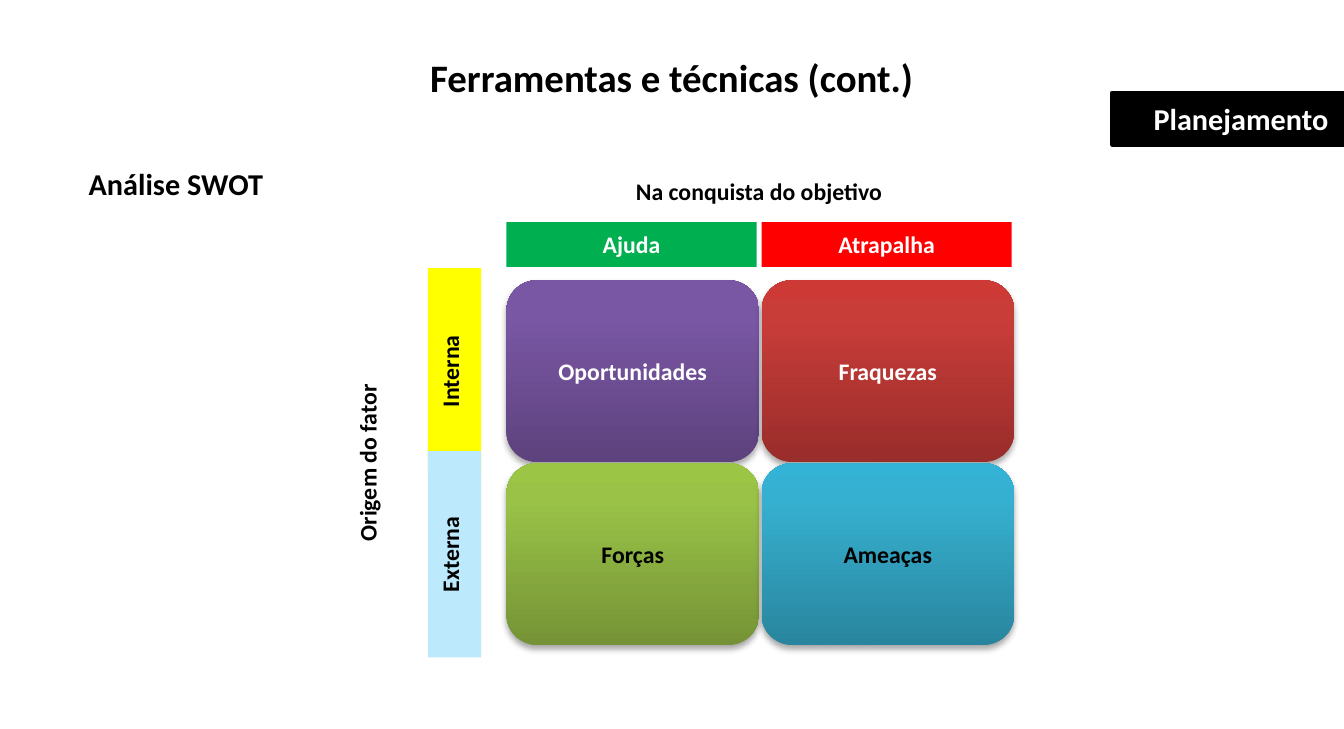
from lxml import etree
from pptx import Presentation
from pptx.dml.color import RGBColor
from pptx.enum.shapes import MSO_SHAPE
from pptx.enum.text import MSO_ANCHOR, PP_ALIGN
from pptx.oxml import parse_xml
from pptx.oxml.ns import nsdecls
from pptx.util import Cm, Pt

COLOURS = {
    "black": "000000", "white": "FFFFFF", "green": "00B050",
    "red": "FF0000", "yellow": "FFFF00", "pale blue": "BCE9FB",
}
GRADIENTS = {
    "purple": ("5D427D", "7A57A5", "7A56A7"),
    "crimson": ("992D2B", "C93D39", "CD3A36"),
    "olive": ("759336", "99C247", "9BC545"),
    "teal": ("29859E", "36B0D0", "33B3D5"),
}
STOPS = (0, 80, 100)

TITLE = "Ferramentas e técnicas (cont.)"
PHASE = "Planejamento"
TOPIC = "Análise SWOT"
COLUMN_TITLE = "Na conquista do objetivo"
ROW_TITLE = "Origem do fator"
COLUMNS = [("Ajuda", "green"), ("Atrapalha", "red")]
ROWS = [("Interna", "yellow"), ("Externa", "pale blue")]
QUADRANTS = [
    [("Oportunidades", "purple", "white"), ("Fraquezas", "crimson", "white")],
    [("Forças", "olive", "black"), ("Ameaças", "teal", "black")],
]

# Lengths in centimetres
PAGE_WIDTH, PAGE_HEIGHT = 21.97, 11.91
GRID_LEFT, GRID_TOP = 8.28, 4.58
TILE_WIDTH, TILE_HEIGHT = 4.13, 2.97
COLUMN_STEP, ROW_STEP = 4.17, 2.99
HEADER_TOP, HEADER_WIDTH, HEADER_HEIGHT = 3.63, 4.09, 0.73
SIDE_LENGTH, SIDE_THICKNESS = 3.37, 0.87
SIDE_CENTRE, ROW_TITLE_CENTRE = 7.43, 6.08


def write(box, text, size, colour, align=PP_ALIGN.CENTER, anchor=MSO_ANCHOR.TOP, wrap=True):
    frame = box.text_frame
    frame.word_wrap = wrap
    frame.vertical_anchor = anchor
    para = frame.paragraphs[0]
    para.alignment = align
    span = para.add_run()
    span.text = text
    span.font.name = "Calibri"
    span.font.size = Pt(size)
    span.font.bold = True
    span.font.color.rgb = RGBColor.from_string(COLOURS[colour])


def add_label(page, area, text, size=11, **style):
    box = page.shapes.add_textbox(*map(Cm, area))
    write(box, text, size, "black", **style)
    return box


def add_bar(page, area, text, fill, colour, size=11, **style):
    bar = page.shapes.add_shape(MSO_SHAPE.RECTANGLE, *map(Cm, area))
    bar.shadow.inherit = False
    bar.fill.solid()
    bar.fill.fore_color.rgb = RGBColor.from_string(COLOURS[fill])
    bar.line.fill.background()
    write(bar, text, size, colour, **style)
    return bar


def upright(centre_x, centre_y, length):
    """Area of a side label before it is turned by 270 degrees."""
    return centre_x - length / 2, centre_y - SIDE_THICKNESS / 2, length, SIDE_THICKNESS


def add_tile(page, area, text, gradient, colour):
    tile = page.shapes.add_shape(MSO_SHAPE.ROUNDED_RECTANGLE, *map(Cm, area))
    tile.line.fill.background()
    tile.fill.gradient()
    tile.fill.gradient_angle = 90
    properties = tile.element.spPr
    stop_list = properties.find(".//{*}gsLst")
    for stop in list(stop_list):
        stop_list.remove(stop)
    for position, shade in zip(STOPS, GRADIENTS[gradient]):
        stop_list.append(parse_xml(
            f'<a:gs {nsdecls("a")} pos="{position * 1000}"><a:srgbClr val="{shade}"/></a:gs>'))
    tile.shadow.inherit = False
    shadow = parse_xml(
        f'<a:outerShdw {nsdecls("a")} blurRad="{Pt(3.1)}" dist="{Pt(1.8)}" dir="5400000" '
        f'rotWithShape="0"><a:srgbClr val="{COLOURS["black"]}"><a:alpha val="35000"/>'
        '</a:srgbClr></a:outerShdw>')
    properties.find("{*}effectLst").append(shadow)
    write(tile, text, 11, colour, anchor=MSO_ANCHOR.MIDDLE)


def add_matrix(page):
    for row, tiles in enumerate(QUADRANTS):
        for column, (text, gradient, colour) in enumerate(tiles):
            area = (GRID_LEFT + column * COLUMN_STEP, GRID_TOP + row * ROW_STEP,
                    TILE_WIDTH, TILE_HEIGHT)
            add_tile(page, area, text, gradient, colour)
    for column, (text, fill) in enumerate(COLUMNS):
        left = GRID_LEFT + column * COLUMN_STEP
        add_bar(page, (left, HEADER_TOP, HEADER_WIDTH, HEADER_HEIGHT), text, fill, "white")
    for row, (text, fill) in enumerate(ROWS):
        middle = GRID_TOP + row * ROW_STEP + TILE_HEIGHT / 2
        bar = add_bar(page, upright(SIDE_CENTRE, middle, SIDE_LENGTH), text, fill, "black")
        bar.rotation = 270
    add_label(page, (GRID_LEFT, 2.77, COLUMN_STEP + HEADER_WIDTH, HEADER_HEIGHT), COLUMN_TITLE)
    middle = GRID_TOP + (ROW_STEP + TILE_HEIGHT) / 2
    add_label(page, upright(ROW_TITLE_CENTRE, middle, 2 * ROW_STEP), ROW_TITLE).rotation = 270


def main():
    deck = Presentation()
    deck.slide_width, deck.slide_height = Cm(PAGE_WIDTH), Cm(PAGE_HEIGHT)
    page = deck.slides.add_slide(deck.slide_layouts[6])
    add_label(page, (0, 0.76, PAGE_WIDTH, 1.02), TITLE, 18)
    phase = add_bar(page, (18.18, 1.52, 3.79, 0.84), PHASE, "black", "white", 14,
                    align=PP_ALIGN.RIGHT, anchor=MSO_ANCHOR.MIDDLE)
    phase.line.color.rgb = RGBColor.from_string(COLOURS["black"])
    phase.line.width = Pt(2)
    add_matrix(page)
    add_label(page, (1.2, 2.57, 3.38, 0.86), TOPIC, 14, align=PP_ALIGN.LEFT, wrap=False)
    deck.save("out.pptx")


if __name__ == "__main__":
    main()
